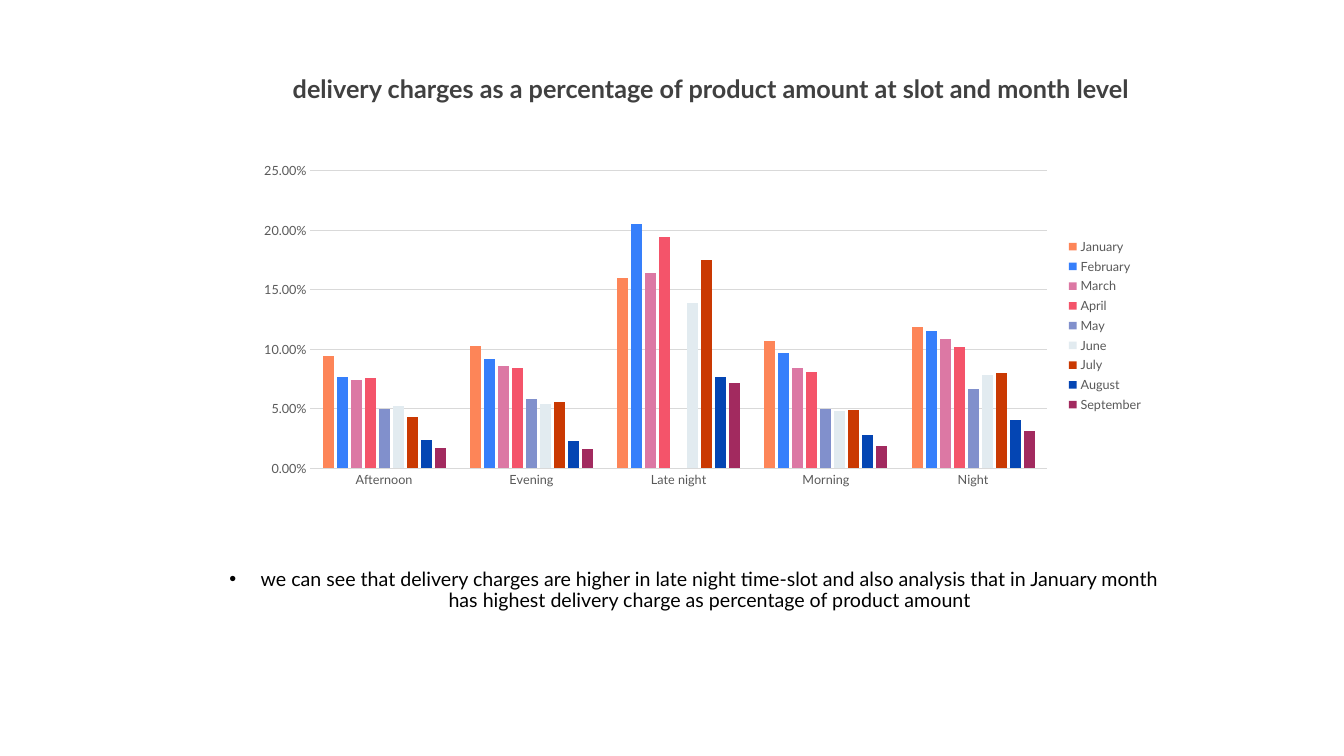
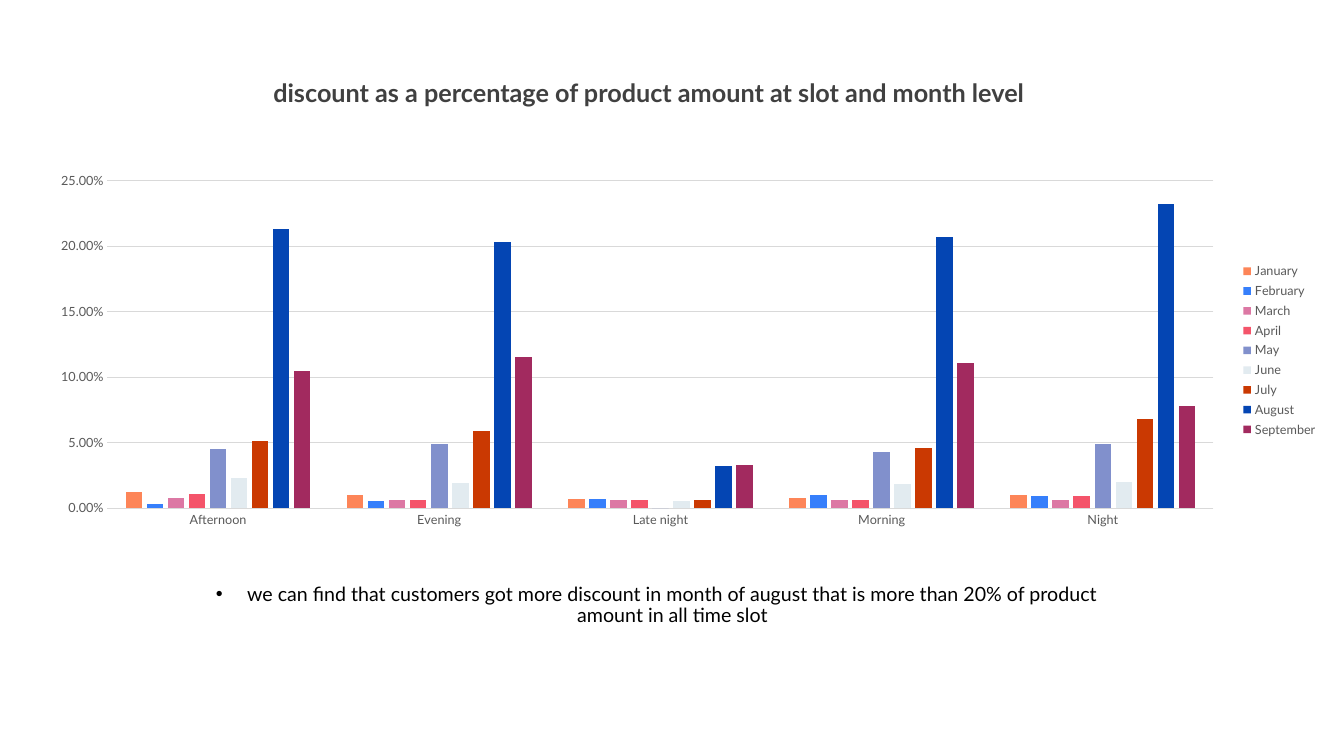
from lxml import etree
from pptx import Presentation
from pptx import util as u
from pptx.chart.data import CategoryChartData
from pptx.dml.color import RGBColor
from pptx.enum import chart as ch, text
from pptx.oxml.ns import qn

PX = 9144  # EMU in one px, 100 px to the inch
FONT = "Lato"
BLACK = RGBColor(0, 0, 0)
DARK = RGBColor(0x40, 0x40, 0x40)
GRAY = RGBColor(0x59, 0x59, 0x59)
LINE = RGBColor(0xD9, 0xD9, 0xD9)

SLOTS = ["Afternoon", "Evening", "Late night", "Morning", "Night"]
MONTHS = [
    ("January", RGBColor(0xFD, 0x85, 0x58)),
    ("February", RGBColor(0x36, 0x7F, 0xFB)),
    ("March", RGBColor(0xDC, 0x78, 0xA4)),
    ("April", RGBColor(0xF4, 0x54, 0x6A)),
    ("May", RGBColor(0x81, 0x90, 0xCC)),
    ("June", RGBColor(0xE2, 0xEB, 0xF0)),
    ("July", RGBColor(0xCA, 0x39, 0x02)),
    ("August", RGBColor(0x04, 0x45, 0xB3)),
    ("September", RGBColor(0xA2, 0x2A, 0x5F)),
]

# Content: boxes are left, top, width, height in px; one row of values a month
PAGES = [
    {
        "title": "delivery charges as a percentage of product amount at slot and month level",
        "title_box": (223, 68, 964, 71),
        "note": "we can see that delivery charges are higher in late night time-slot and also "
                "analysis that in January month has highest delivery charge as percentage of "
                "product amount",
        "note_box": (216, 560, 945, 107),
        "chart_box": (244, 155, 900, 336),
        "rows": [
            (0.094, 0.103, 0.16, 0.107, 0.119),
            (0.077, 0.092, 0.205, 0.097, 0.115),
            (0.074, 0.086, 0.164, 0.084, 0.109),
            (0.076, 0.084, 0.194, 0.081, 0.102),
            (0.05, 0.058, None, 0.05, 0.067),
            (0.052, 0.054, 0.139, 0.048, 0.078),
            (0.043, 0.056, 0.175, 0.049, 0.08),
            (0.024, 0.023, 0.077, 0.028, 0.041),
            (0.017, 0.016, 0.072, 0.019, 0.031),
        ],
    },
    {
        "title": "discount as a percentage of product amount at slot and month level",
        "title_box": (242, 72, 803, 71),
        "note": "we can find that customers got more discount in month of august that is more "
                "than 20% of product amount in all time slot",
        "note_box": (179, 575, 945, 130),
        "chart_box": (35, 164, 1282, 367),
        "rows": [
            (0.012, 0.01, 0.007, 0.008, 0.01),
            (0.003, 0.005, 0.007, 0.01, 0.009),
            (0.008, 0.006, 0.006, 0.006, 0.006),
            (0.011, 0.006, 0.006, 0.006, 0.009),
            (0.045, 0.049, 0, 0.043, 0.049),
            (0.023, 0.019, 0.005, 0.018, 0.02),
            (0.051, 0.059, 0.006, 0.046, 0.068),
            (0.213, 0.203, 0.032, 0.207, 0.232),
            (0.105, 0.115, 0.033, 0.111, 0.078),
        ],
    },
]


def emu(box):
    return [n * PX for n in box]


def style(font, size, color, bold=False):
    font.name, font.size, font.bold = FONT, u.Pt(size), bold
    font.color.rgb = color


def add_text(slide, box, words):
    frame = slide.shapes.add_textbox(*emu(box)).text_frame
    frame.word_wrap = True
    para = frame.paragraphs[0]
    para.text = words
    para.alignment = text.PP_ALIGN.CENTER
    return para


def add_title(slide, page):
    para = add_text(slide, page["title_box"], page["title"])
    style(para.font, 18, DARK, True)


def add_note(slide, page):
    para = add_text(slide, page["note_box"], page["note"])
    para.line_spacing = 0.9
    props = para._p.get_or_add_pPr()
    props.set("marL", str(31 * PX))
    props.set("indent", str(-31 * PX))
    etree.SubElement(props, qn("a:buFont"), typeface="Arial")
    etree.SubElement(props, qn("a:buChar"), char="•")
    style(para.font, 14, BLACK)


def add_chart(slide, page):
    data = CategoryChartData(number_format="0.00%")
    data.categories = SLOTS
    for (month, _), row in zip(MONTHS, page["rows"]):
        data.add_series(month, row)
    chart = slide.shapes.add_chart(
        ch.XL_CHART_TYPE.COLUMN_CLUSTERED, *emu(page["chart_box"]), data).chart
    chart.has_title = False
    style(chart.font, 10, BLACK)

    # Columns
    plot = chart.plots[0]
    plot.gap_width, plot.overlap, plot.vary_by_categories = 219, -27, False
    for series, (_, color) in zip(plot.series, MONTHS):
        series.format.fill.solid()
        series.format.fill.fore_color.rgb = color
        series.invert_if_negative = False

    # Axes
    cat, val = chart.category_axis, chart.value_axis
    for axis in (cat, val):
        axis.major_tick_mark = axis.minor_tick_mark = ch.XL_TICK_MARK.NONE
        style(axis.tick_labels.font, 9, GRAY)
    val.tick_labels.number_format = "0.00%"
    val.tick_labels.number_format_is_linked = False
    val.format.line.fill.background()
    val.has_major_gridlines = True
    for line in (cat.format.line, val.major_gridlines.format.line):
        line.color.rgb = LINE
        line.width = u.Pt(0.75)

    # Legend
    chart.has_legend = True
    chart.legend.position = ch.XL_LEGEND_POSITION.RIGHT
    chart.legend.include_in_layout = False
    style(chart.legend.font, 9, GRAY)


def main():
    deck = Presentation()
    deck.slide_width, deck.slide_height = emu((1333, 750))
    for page in PAGES:
        slide = deck.slides.add_slide(deck.slide_layouts[6])
        add_title(slide, page)
        add_chart(slide, page)
        add_note(slide, page)
    deck.save("out.pptx")


if __name__ == "__main__":
    main()
